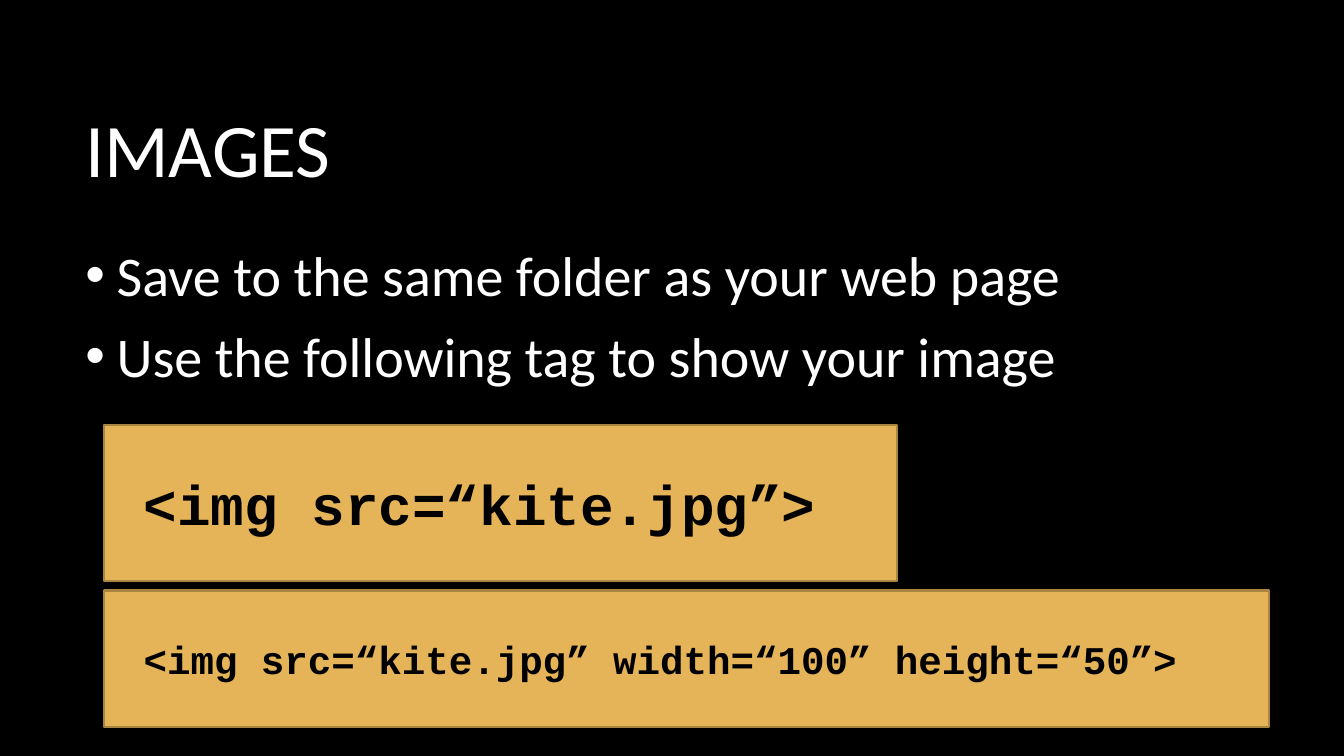
from dataclasses import dataclass

from lxml import etree
from pptx import Presentation
from pptx.dml.color import RGBColor
from pptx.enum.shapes import MSO_SHAPE
from pptx.enum.text import MSO_ANCHOR, PP_ALIGN
from pptx.oxml.ns import qn
from pptx.slide import Slide
from pptx.text.text import TextFrame, _Paragraph
from pptx.util import Cm, Pt

RECTANGLE = MSO_SHAPE.RECTANGLE
TOP, MIDDLE = MSO_ANCHOR.TOP, MSO_ANCHOR.MIDDLE
LEFT = PP_ALIGN.LEFT


@dataclass(frozen=True)
class Theme:
    background: str = "000000"
    text: str = "FFFFFF"
    code_text: str = "000000"
    code_fill: str = "E5B458"
    code_line: str = "A98541"
    text_font: str = "Calibri"
    code_font: str = "Courier New"
    title_size: int = 54
    body_size: int = 40
    small_code_size: int = 28


@dataclass(frozen=True)
class TextBlock:
    lines: tuple[str, ...]
    top: float
    height: float
    size: int
    anchor: MSO_ANCHOR
    bulleted: bool = False


@dataclass(frozen=True)
class CodeBox:
    code: str
    top: float
    width: float
    height: float
    size: int


THEME = Theme()
TEXT_LEFT, TEXT_WIDTH = 1.9, 28.14
CODE_LEFT = 2.62
BULLET_INDENT = Cm(0.79)

TEXT_BLOCKS = (
    TextBlock(("IMAGES",), 1.7, 4.04, THEME.title_size, MIDDLE),
    TextBlock(
        ("Save to the same folder as your web page",
         "Use the following tag to show your image"),
        5.94, 10.13, THEME.body_size, TOP, bulleted=True,
    ),
)
CODE_BOXES = (
    CodeBox("<img src=“kite.jpg”>", 10.7, 19.99, 3.94, THEME.body_size),
    CodeBox("<img src=“kite.jpg” width=“100” height=“50”>",
            14.88, 29.36, 3.43, THEME.small_code_size),
)


def set_attributes(target: object, values: dict[str, object]) -> None:
    for name, value in values.items():
        setattr(target, name, value)


def add_bullet(p: _Paragraph) -> None:
    """Give the paragraph a hanging round bullet in the text colour."""
    p_pr = p._p.get_or_add_pPr()
    p_pr.set("marL", str(BULLET_INDENT))
    p_pr.set("indent", str(-BULLET_INDENT))
    colour = etree.SubElement(p_pr, qn("a:buClr"))
    etree.SubElement(colour, qn("a:srgbClr")).set("val", THEME.text)
    etree.SubElement(p_pr, qn("a:buFont")).set("typeface", "Arial")
    etree.SubElement(p_pr, qn("a:buChar")).set("char", "•")


def write_line(p: _Paragraph, text: str, colour: str,
               font: dict[str, object]) -> None:
    p.alignment = LEFT
    r = p.add_run()
    r.text = text
    set_attributes(r.font, font)
    r.font.color.rgb = RGBColor.from_string(colour)


def next_paragraph(tf: TextFrame, index: int) -> _Paragraph:
    return tf.add_paragraph() if index else tf.paragraphs[0]


def add_text_block(s: Slide, block: TextBlock) -> None:
    sp = s.shapes.add_textbox(Cm(TEXT_LEFT), Cm(block.top),
                              Cm(TEXT_WIDTH), Cm(block.height))
    tf = sp.text_frame
    set_attributes(tf, {"word_wrap": True, "vertical_anchor": block.anchor})
    font = {"name": THEME.text_font, "size": Pt(block.size)}
    for index, line in enumerate(block.lines):
        p = next_paragraph(tf, index)
        if block.bulleted:
            add_bullet(p)
            p.space_after = Pt(10)
        write_line(p, line, THEME.text, font)


def add_code_box(s: Slide, box: CodeBox) -> None:
    sp = s.shapes.add_shape(RECTANGLE, Cm(CODE_LEFT), Cm(box.top),
                            Cm(box.width), Cm(box.height))
    sp.shadow.inherit = False
    sp.fill.solid()
    sp.fill.fore_color.rgb = RGBColor.from_string(THEME.code_fill)
    sp.line.color.rgb = RGBColor.from_string(THEME.code_line)
    sp.line.width = Pt(1.5)
    tf = sp.text_frame
    set_attributes(tf, {
        "word_wrap": True,
        "vertical_anchor": MIDDLE,
        "margin_left": Cm(1),
        "margin_right": Cm(0.25),
        "margin_top": Cm(1.09),
        "margin_bottom": Cm(1.09),
    })
    font = {"name": THEME.code_font, "size": Pt(box.size), "bold": True}
    write_line(tf.paragraphs[0], box.code, THEME.code_text, font)


def main() -> None:
    prs = Presentation()
    set_attributes(prs, {"slide_width": Cm(33.87), "slide_height": Cm(19.05)})
    s = prs.slides.add_slide(prs.slide_layouts[6])
    s.background.fill.solid()
    s.background.fill.fore_color.rgb = RGBColor.from_string(THEME.background)
    for block in TEXT_BLOCKS:
        add_text_block(s, block)
    for box in CODE_BOXES:
        add_code_box(s, box)
    prs.save("out.pptx")


if __name__ == "__main__":
    main()
